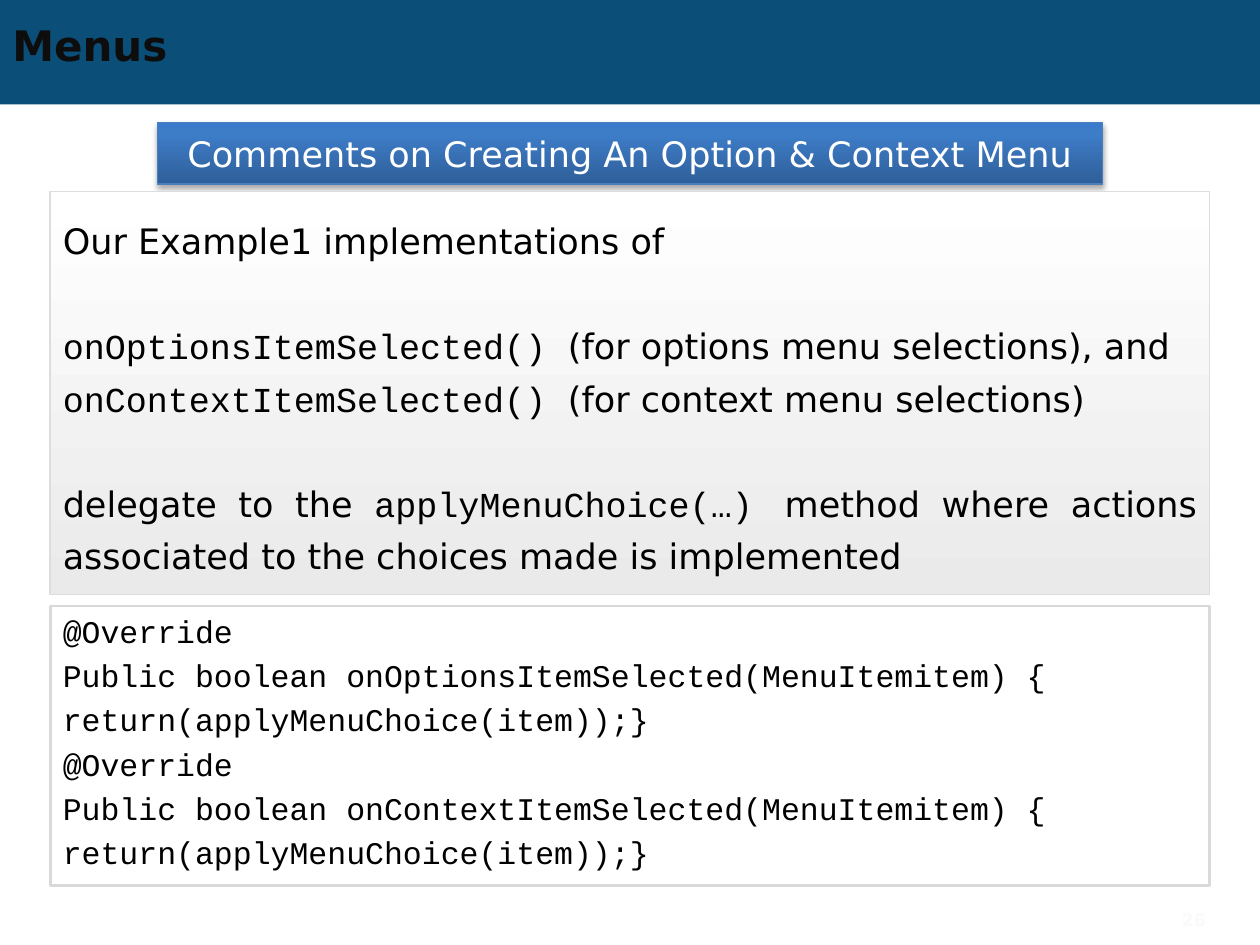
from copy import deepcopy
from dataclasses import dataclass

from pptx import Presentation
from pptx.dml.color import RGBColor
from pptx.enum import shapes, text
from pptx.oxml import parse_xml
from pptx.oxml.ns import nsdecls, qn
from pptx.util import Inches, Pt

SANS = "DejaVu Sans"
MONO = "Courier New"

WHITE = RGBColor(0xFF, 0xFF, 0xFF)
BLACK = RGBColor(0, 0, 0)
TITLE_INK = RGBColor(0x0D, 0x0D, 0x0D)
HEADER_BLUE = RGBColor(0x0B, 0x4E, 0x78)
BANNER_LINE = RGBColor(0x4B, 0x7E, 0xBC)
BANNER_STOPS = [
    (0, RGBColor(0x2F, 0x5F, 0x99)),
    (0.8, RGBColor(0x3D, 0x7C, 0xC7)),
    (1, RGBColor(0x3A, 0x7C, 0xCB)),
]
PANEL_STOPS = [(0, WHITE), (1, RGBColor(0xEA, 0xEA, 0xEA))]
PANEL_LINE = RGBColor(0xDD, 0xDD, 0xDD)
CODE_LINE = RGBColor(0xD9, 0xD9, 0xD9)
PAGE_INK = RGBColor(0xFA, 0xFA, 0xFA)


@dataclass
class Box:
    left: float
    top: float
    width: float
    height: float

    def lengths(self) -> list:
        return [Inches(v) for v in (self.left, self.top, self.width, self.height)]


@dataclass
class Style:
    size: float
    color: RGBColor = BLACK
    font: str = SANS
    bold: bool = False
    align: text.PP_ALIGN = text.PP_ALIGN.LEFT


@dataclass
class Line:
    runs: list
    before: float = 0
    spacing: float | None = None


def write(frame, lines: list[Line], style: Style, anchor=text.MSO_ANCHOR.MIDDLE) -> None:
    frame.word_wrap = True
    frame.vertical_anchor = anchor
    for index, line in enumerate(lines):
        paragraph = frame.paragraphs[0] if index == 0 else frame.add_paragraph()
        paragraph.alignment = style.align
        if line.before:
            paragraph.space_before = Pt(line.before)
        if line.spacing:
            paragraph.line_spacing = Pt(line.spacing)
        font = paragraph.font
        font.size, font.bold, font.name = Pt(style.size), style.bold, style.font
        font.color.rgb = style.color
        for wording, name in line.runs:
            run = paragraph.add_run()
            run.text = wording
            if name != style.font:
                run.font.name = name


def add_panel(slide, box: Box, line: RGBColor | None = None, weight: float = 1):
    panel = slide.shapes.add_shape(shapes.MSO_SHAPE.RECTANGLE, *box.lengths())
    panel.shadow.inherit = False
    panel.fill.background()
    if line is None:
        panel.line.fill.background()
    else:
        panel.line.color.rgb = line
        panel.line.width = Pt(weight)
    return panel


def shade(panel, stops: list, angle: float) -> None:
    panel.fill.gradient()
    panel.fill.gradient_angle = angle
    stop_list = panel._element.spPr.find(".//" + qn("a:gsLst"))
    while len(stop_list) < len(stops):
        stop_list.append(deepcopy(stop_list[-1]))
    for stop, (position, color) in zip(panel.fill.gradient_stops, stops):
        stop.position = position
        stop.color.rgb = color


def cast_shadow(panel) -> None:
    effects = panel._element.spPr.find(qn("a:effectLst"))
    effects.append(parse_xml(
        f'<a:outerShdw {nsdecls("a")} blurRad="{Pt(3.1)}" dist="{Pt(1.8)}" '
        'dir="5400000" rotWithShape="0"><a:srgbClr val="000000">'
        '<a:alpha val="35000"/></a:srgbClr></a:outerShdw>'
    ))


def add_label(slide, box: Box, wording: str, style: Style) -> None:
    label = slide.shapes.add_textbox(*box.lengths())
    write(label.text_frame, [Line([(wording, style.font)])], style)


def main() -> None:
    deck = Presentation()
    deck.slide_width, deck.slide_height = Inches(10), Inches(7.5)
    slide = deck.slides.add_slide(deck.slide_layouts[6])

    header = add_panel(slide, Box(0, 0, 10, 0.83))
    header.fill.solid()
    header.fill.fore_color.rgb = HEADER_BLUE
    add_label(slide, Box(0, 0.14, 9, 0.43), "Menus", Style(24, TITLE_INK, bold=True))

    banner = add_panel(slide, Box(1.25, 0.97, 7.5, 0.49), BANNER_LINE, 0.75)
    shade(banner, BANNER_STOPS, 90)
    cast_shadow(banner)
    write(
        banner.text_frame,
        [Line([("Comments on Creating An Option & Context Menu", SANS)])],
        Style(20, WHITE, align=text.PP_ALIGN.CENTER),
    )

    explanation = add_panel(slide, Box(0.4, 1.52, 9.2, 3.2), PANEL_LINE)
    shade(explanation, PANEL_STOPS, 270)
    pitch = 30
    write(
        explanation.text_frame,
        [
            Line([("Our Example1 implementations of", SANS)], 0, pitch),
            Line([("onOptionsItemSelected() ", MONO),
                  ("(for options menu selections), and", SANS)], pitch, pitch),
            Line([("onContextItemSelected() ", MONO),
                  ("(for context menu selections)", SANS)], 0, pitch),
            Line([("delegate to the ", SANS), ("applyMenuChoice(…) ", MONO),
                  ("method where actions associated to the choices made is implemented",
                   SANS)], pitch, pitch),
        ],
        Style(20, align=text.PP_ALIGN.JUSTIFY),
    )

    code = add_panel(slide, Box(0.4, 4.81, 9.2, 2.22), CODE_LINE, 1.5)
    code_size = 18
    code_gap = 0.2 * code_size
    listing = [
        wording
        for handler in ("onOptionsItemSelected", "onContextItemSelected")
        for wording in (
            "@Override",
            f"Public boolean {handler}(MenuItemitem) {{",
            "return(applyMenuChoice(item));}",
        )
    ]
    write(
        code.text_frame,
        [Line([(wording, MONO)], code_gap if index else 0)
         for index, wording in enumerate(listing)],
        Style(code_size, font=MONO),
        text.MSO_ANCHOR.TOP,
    )

    add_label(slide, Box(8.67, 7.15, 1, 0.3), "26",
              Style(10, PAGE_INK, bold=True, align=text.PP_ALIGN.RIGHT))
    deck.save("out.pptx")


if __name__ == "__main__":
    main()
